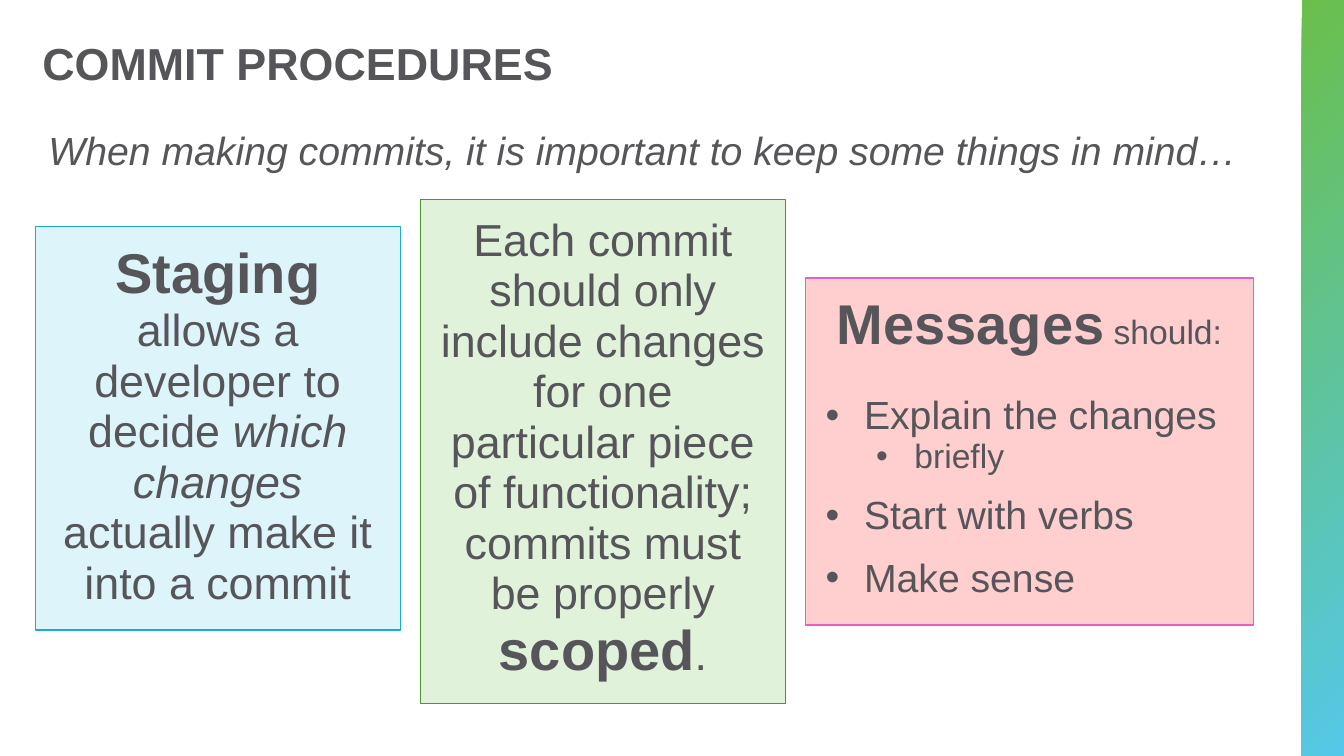
from dataclasses import dataclass

from lxml import etree
from pptx import Presentation
from pptx.dml.color import RGBColor
from pptx.enum.shapes import MSO_SHAPE
from pptx.enum.text import MSO_ANCHOR, MSO_AUTO_SIZE, PP_ALIGN
from pptx.oxml.ns import qn
from pptx.util import Inches, Pt

RECTANGLE = MSO_SHAPE.RECTANGLE
TOP, MIDDLE = MSO_ANCHOR.TOP, MSO_ANCHOR.MIDDLE
LEFT, CENTER = PP_ALIGN.LEFT, PP_ALIGN.CENTER
NO_AUTOFIT = MSO_AUTO_SIZE.NONE

FONT = "Arial"
TEXT_GREY = RGBColor(0x56, 0x56, 0x5A)
BAR_GREEN = RGBColor(0x6A, 0xBF, 0x4B)
BAR_BLUE = RGBColor(0x54, 0xC8, 0xE8)
STAGING_FILL, STAGING_LINE = RGBColor(0xDD, 0xF4, 0xFA), RGBColor(0x1C, 0xAA, 0xD1)
SCOPE_FILL, SCOPE_LINE = RGBColor(0xE1, 0xF2, 0xDB), RGBColor(0x4E, 0x93, 0x34)
MESSAGE_FILL, MESSAGE_LINE = RGBColor(0xFF, 0xCF, 0xCF), RGBColor(0xE9, 0x5E, 0xBE)

SLIDE_WIDTH, SLIDE_HEIGHT = 13.33, 7.5
BAR_WIDTH = 0.42
CARDS_LEFT, CARD_GAP = 0.35, 0.2
LINE_SPACING = 0.94
HANGING = 0.38
LEVEL_STEP = 0.5


@dataclass
class Span:
    text: str
    size: int
    bold: bool = False
    italic: bool = False


@dataclass
class Para:
    spans: list
    level: int = 0
    bullet: bool = False
    before: int = 0


def place(shape, box):
    shape.left, shape.top, shape.width, shape.height = map(Inches, box)


def set_frame(frame, insets, anchor):
    frame.word_wrap = True
    frame.auto_size = NO_AUTOFIT
    frame.vertical_anchor = anchor
    (frame.margin_left, frame.margin_top,
     frame.margin_right, frame.margin_bottom) = map(Inches, insets)


def add_spans(paragraph, spans):
    for span in spans:
        run = paragraph.add_run()
        run.text = span.text
        font = run.font
        font.name, font.size = FONT, Pt(span.size)
        font.bold, font.italic = span.bold, span.italic
        font.color.rgb = TEXT_GREY


def set_indent(paragraph, margin, hanging=0, bullet=None):
    """Set the left margin and first line in inches, with or without a bullet."""
    properties = paragraph._p.get_or_add_pPr()
    properties.set("marL", str(Inches(margin)))
    properties.set("indent", str(-Inches(hanging)))
    if bullet:
        etree.SubElement(properties, qn("a:buFont"), typeface=FONT)
        etree.SubElement(properties, qn("a:buChar"), char=bullet)
    else:
        etree.SubElement(properties, qn("a:buNone"))


def add_side_bar(slide, box):
    bar = slide.shapes.add_shape(RECTANGLE, *map(Inches, box))
    bar.shadow.inherit = False
    bar.line.fill.background()
    bar.fill.gradient()
    bar.fill.gradient_angle = 315
    stops = zip(bar.fill.gradient_stops, (0.01, 0.99), (BAR_GREEN, BAR_BLUE))
    for stop, position, color in stops:
        stop.position = position
        stop.color.rgb = color


def fill_title(title, box, text):
    place(title, box)
    set_frame(title.text_frame, (0, 0.05, 0, 0), MIDDLE)
    paragraph = title.text_frame.paragraphs[0]
    paragraph.alignment = LEFT
    paragraph.line_spacing = LINE_SPACING
    add_spans(paragraph, [Span(text, 32, bold=True)])


def fill_lead(body, box, text):
    place(body, box)
    set_frame(body.text_frame, (0, 0, 0, 0), TOP)
    paragraph = body.text_frame.paragraphs[0]
    paragraph.space_before, paragraph.space_after = Pt(0), Pt(12)
    set_indent(paragraph, 0.06)
    add_spans(paragraph, [Span(text, 28, italic=True)])


def add_card(slide, box, fill, line, paras):
    card = slide.shapes.add_shape(RECTANGLE, *map(Inches, box))
    card.shadow.inherit = False
    card.fill.solid()
    card.fill.fore_color.rgb = fill
    card.line.color.rgb = line
    card.line.width = Pt(1)
    frame = card.text_frame
    set_frame(frame, (0.2, 0.16, 0.2, 0.16), TOP)
    for index, para in enumerate(paras):
        paragraph = frame.add_paragraph() if index else frame.paragraphs[0]
        paragraph.alignment = LEFT if para.bullet else CENTER
        paragraph.level = para.level
        paragraph.line_spacing = LINE_SPACING
        paragraph.space_before = Pt(para.before)
        if para.bullet:
            set_indent(paragraph, HANGING + para.level * LEVEL_STEP, HANGING, "•")
        add_spans(paragraph, para.spans)


STAGING = [Para([
    Span("Staging", 40, bold=True),
    Span(" allows a developer to decide ", 32),
    Span("which changes", 32, italic=True),
    Span(" actually make it into a commit", 32),
])]
SCOPE = [Para([
    Span("Each commit should only include changes for one particular piece "
         "of functionality; commits must be properly ", 32),
    Span("scoped", 40, bold=True),
    Span(".", 32),
])]
MESSAGES = [
    Para([Span("Messages", 40, bold=True), Span(" should:", 24)]),
    Para([Span("Explain the changes", 28)], bullet=True, before=26),
    Para([Span("briefly", 24)], level=1, bullet=True),
    Para([Span("Start with verbs", 28)], bullet=True, before=13),
    Para([Span("Make sense", 28)], bullet=True, before=13),
]
# top, width, height, fill, line, paragraphs
CARDS = [
    (2.25, 3.62, 4, STAGING_FILL, STAGING_LINE, STAGING),
    (1.98, 3.62, 5, SCOPE_FILL, SCOPE_LINE, SCOPE),
    (2.76, 4.44, 3.44, MESSAGE_FILL, MESSAGE_LINE, MESSAGES),
]


def add_cards(slide, left):
    """Set the cards side by side from the given left edge."""
    for top, width, height, fill, line, paras in CARDS:
        add_card(slide, (left, top, width, height), fill, line, paras)
        left += width + CARD_GAP


def main():
    deck = Presentation()
    deck.slide_width, deck.slide_height = Inches(SLIDE_WIDTH), Inches(SLIDE_HEIGHT)
    slide = deck.slides.add_slide(deck.slide_layouts[1])
    add_side_bar(slide, (SLIDE_WIDTH - BAR_WIDTH, 0, BAR_WIDTH, SLIDE_HEIGHT))
    fill_title(slide.shapes.title, (0.42, 0.25, 12.5, 0.75), "COMMIT PROCEDURES")
    fill_lead(slide.placeholders[1], (0.42, 1.25, 12.5, 0.75),
              "When making commits, it is important to keep some things in mind…")
    add_cards(slide, CARDS_LEFT)
    deck.save("out.pptx")


if __name__ == "__main__":
    main()
